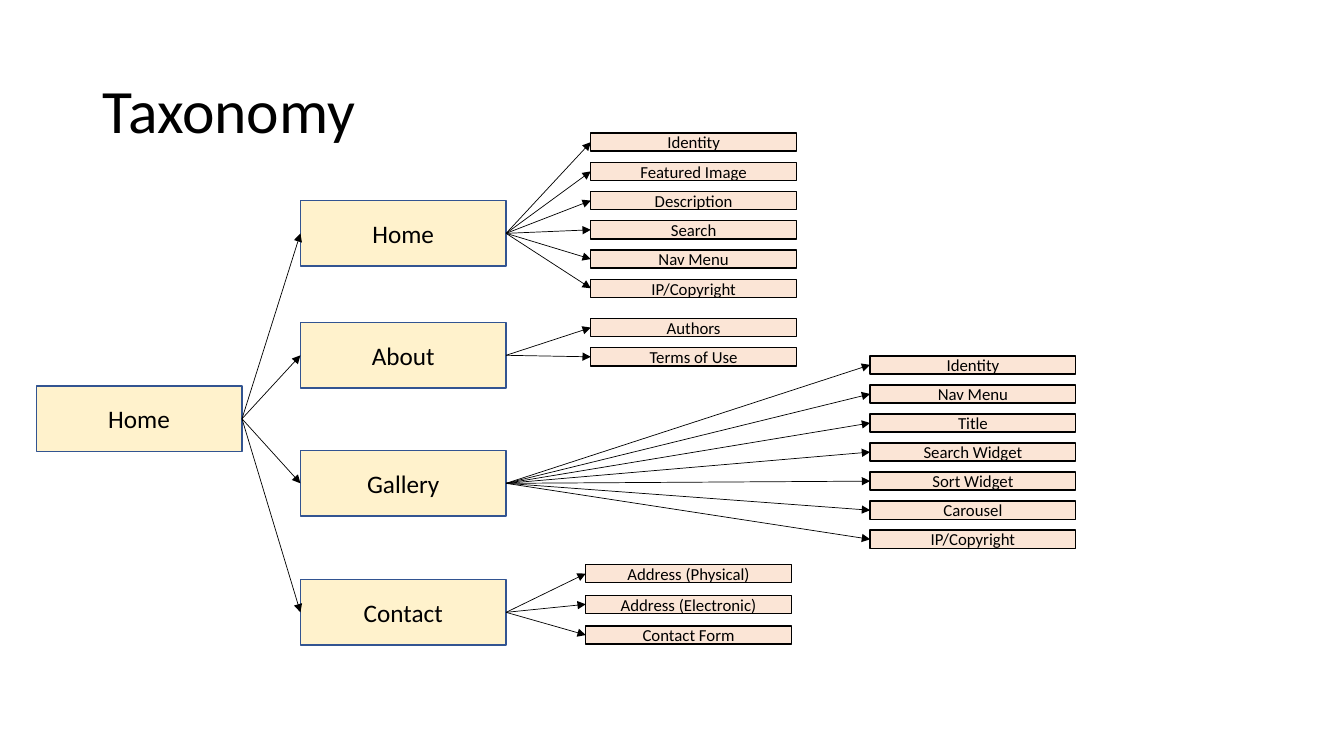
from dataclasses import dataclass

from lxml import etree
from pptx import Presentation
from pptx.dml.color import RGBColor
from pptx.enum import shapes, text
from pptx.oxml import ns
from pptx.util import Inches, Pt

FONT = "Calibri"
BLACK = "000000"
BOX_WIDTH = 2.04
ROOT_LEFT, PAGE_LEFT = 0.36, 2.98
LEFT_SITE, RIGHT_SITE = 1, 3  # connection sites of a rectangle


@dataclass(frozen=True)
class BoxStyle:
    height: float
    fill: str
    line: str
    font_size: int


@dataclass(frozen=True)
class Page:
    name: str
    top: float
    items_left: float
    first_top: float
    last_top: float
    items: tuple[str, ...]


PAGE_STYLE = BoxStyle(0.65, "FFF2CC", "325491", 18)
ITEM_STYLE = BoxStyle(0.18, "FBE5D6", BLACK, 12)

PAGES = (
    Page("Home", 1.99, 5.86, 1.32, 2.77,
         ("Identity", "Featured Image", "Description", "Search", "Nav Menu", "IP/Copyright")),
    Page("About", 3.2, 5.86, 3.16, 3.45, ("Authors", "Terms of Use")),
    Page("Gallery", 4.47, 8.63, 3.53, 5.26,
         ("Identity", "Nav Menu", "Title", "Search Widget", "Sort Widget", "Carousel",
          "IP/Copyright")),
    Page("Contact", 5.75, 5.81, 5.6, 6.21,
         ("Address (Physical)", "Address (Electronic)", "Contact Form")),
)


def color(value: str) -> RGBColor:
    return RGBColor.from_string(value)


def add_text(frame, content: str, size: int, alignment) -> None:
    frame.vertical_anchor = text.MSO_ANCHOR.MIDDLE
    paragraph = frame.paragraphs[0]
    paragraph.alignment = alignment
    run = paragraph.add_run()
    run.text = content
    run.font.name = FONT
    run.font.size = Pt(size)
    run.font.color.rgb = color(BLACK)


def add_box(slide, label: str, left: float, top: float, style: BoxStyle):
    shape = slide.shapes.add_shape(
        shapes.MSO_SHAPE.RECTANGLE,
        Inches(left), Inches(top), Inches(BOX_WIDTH), Inches(style.height))
    shape.shadow.inherit = False
    shape.fill.solid()
    shape.fill.fore_color.rgb = color(style.fill)
    shape.line.color.rgb = color(style.line)
    shape.line.width = Pt(1)
    add_text(shape.text_frame, label, style.font_size, text.PP_ALIGN.CENTER)
    return shape


def add_arrow(slide, parent, child) -> None:
    connector = slide.shapes.add_connector(shapes.MSO_CONNECTOR.STRAIGHT, 0, 0, 0, 0)
    connector.begin_connect(parent, RIGHT_SITE)
    connector.end_connect(child, LEFT_SITE)
    connector.line.color.rgb = color(BLACK)
    connector.line.width = Pt(0.5)
    line = connector.line._get_or_add_ln()
    etree.SubElement(line, ns.qn("a:tailEnd"), type="triangle")
    etree.SubElement(connector._element.spPr, ns.qn("a:effectLst"))


def add_page(slide, root, page: Page) -> None:
    page_box = add_box(slide, page.name, PAGE_LEFT, page.top, PAGE_STYLE)
    add_arrow(slide, root, page_box)
    pitch = (page.last_top - page.first_top) / (len(page.items) - 1)
    for index, item in enumerate(page.items):
        item_box = add_box(slide, item, page.items_left,
                           page.first_top + index * pitch, ITEM_STYLE)
        add_arrow(slide, page_box, item_box)


presentation = Presentation()
presentation.slide_width = Inches(13.33)
presentation.slide_height = Inches(7.5)
slide = presentation.slides.add_slide(presentation.slide_layouts[5])

# Title
title = slide.shapes.title
title.left, title.top = Inches(0.92), Inches(0.4)
title.width, title.height = Inches(11.5), Inches(1.45)
title.text_frame.auto_size = text.MSO_AUTO_SIZE.NONE
add_text(title.text_frame, "Taxonomy", 44, text.PP_ALIGN.LEFT)
title.text_frame.paragraphs[0].line_spacing = 0.9

# Tree: root, pages and their items
root_box = add_box(slide, "Home", ROOT_LEFT, 3.83, PAGE_STYLE)
for page in PAGES:
    add_page(slide, root_box, page)

presentation.save("out.pptx")
